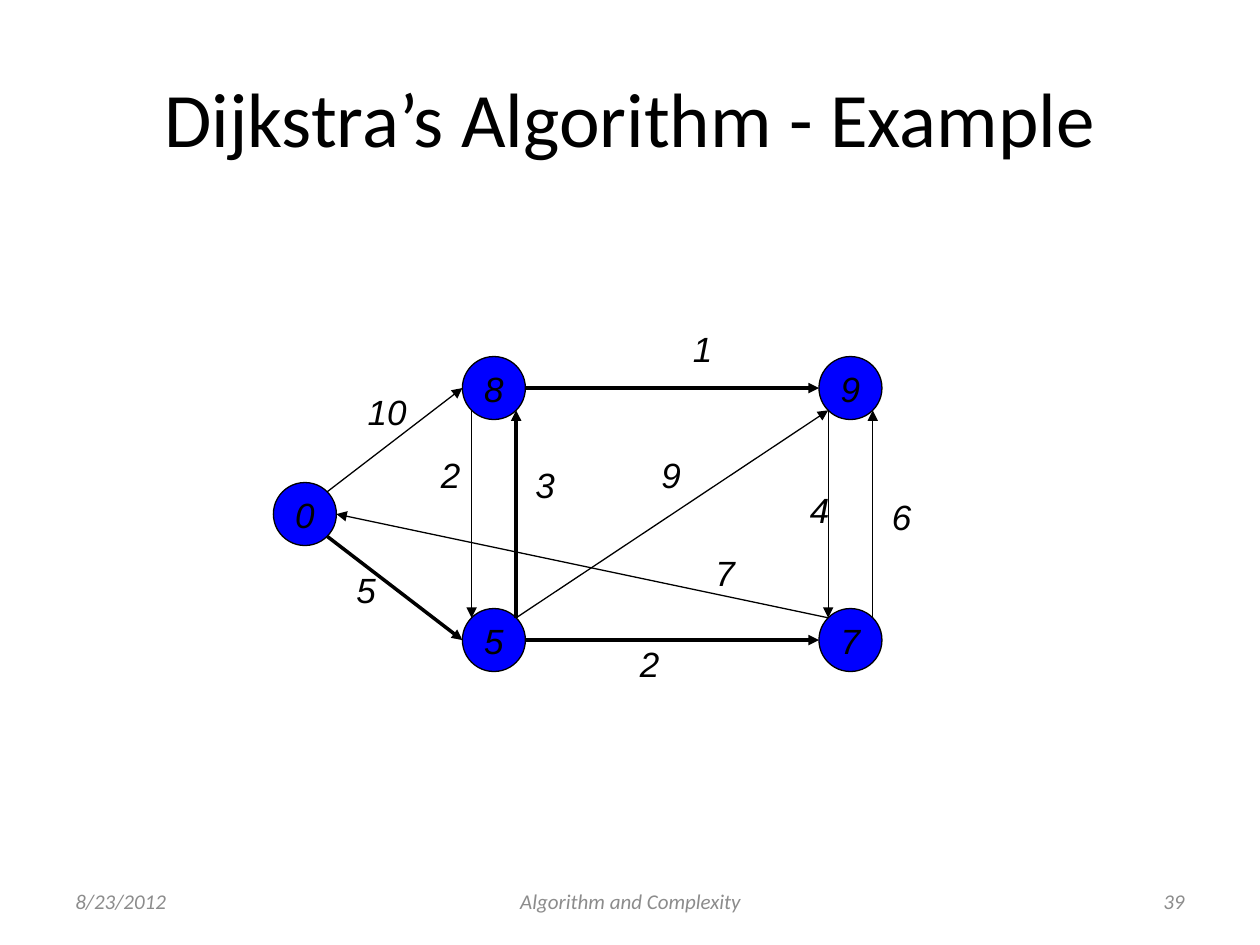
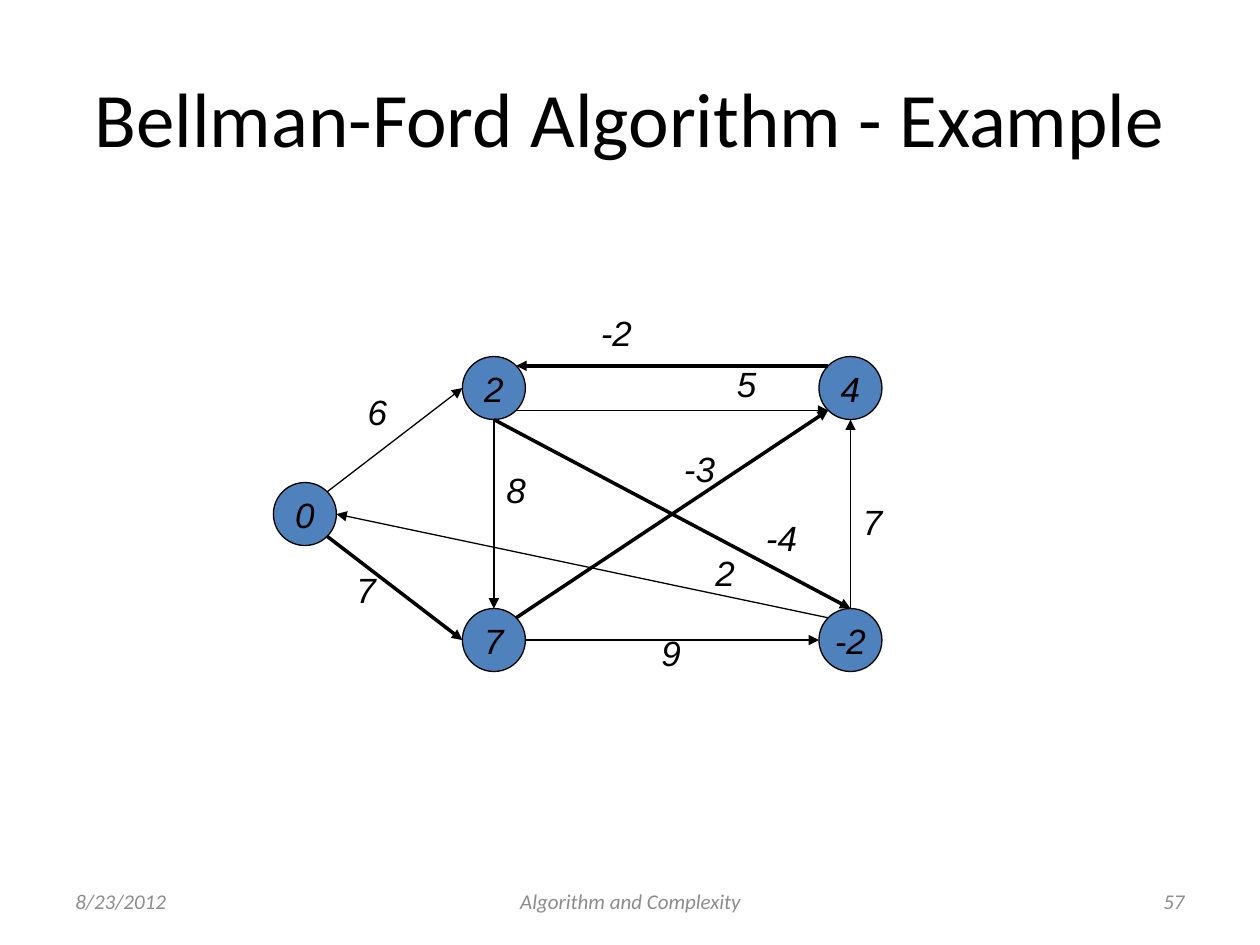
"""Build two slides that show shortest-path examples on weighted directed graphs."""
import math

import pptx
import pptx.dml.color
import pptx.enum.shapes
import pptx.enum.text
import pptx.oxml
import pptx.oxml.ns
import pptx.util

Inches = pptx.util.Inches
Pt = pptx.util.Pt
Align = pptx.enum.text.PP_ALIGN
Anchor = pptx.enum.text.MSO_ANCHOR
AutoSize = pptx.enum.text.MSO_AUTO_SIZE

BLACK = "000000"
GREY = "8C8C8C"
NODE_SIZE = 0.5
RADIUS = NODE_SIZE / 2
THIN, THICK = 0.75, 2

NODE_CENTERS = {
    "source": (2.42, 4.08),
    "upper left": (3.92, 3.08),
    "lower left": (3.92, 5.08),
    "upper right": (6.75, 3.08),
    "lower right": (6.75, 5.08),
}
SITE_ANGLES = {"E": 0, "SE": 45, "S": 90, "SW": 135, "W": 180, "NW": 225, "N": 270, "NE": 315}

EXAMPLES = [
    {
        "title": "Dijkstra’s Algorithm - Example",
        "number": "39",
        "fill": "0000FF",
        "distances": {"source": "0", "lower left": "5", "upper left": "8",
                      "lower right": "7", "upper right": "9"},
        "edges": [
            ("source", "NE", "upper left", "W", THIN),
            ("upper left", "E", "upper right", "W", THICK),
            ("lower left", "E", "lower right", "W", THICK),
            ("source", "SE", "lower left", "W", THICK),
            ("lower left", "NE", "upper right", "SW", THIN),
            ("lower right", "NW", "source", "E", THIN),
            ("lower left", "NE", "upper left", "SE", THICK),
            ("upper left", "SW", "lower left", "NW", THIN),
            ("upper right", "SW", "lower right", "NW", THIN),
            ("lower right", "NE", "upper right", "SE", THIN),
        ],
        "weights": [
            ("10", 2.82, 3.05), ("1", 5.4, 2.55), ("5", 2.73, 4.46), ("2", 4.98, 5.05),
            ("6", 6.98, 3.88), ("4", 6.33, 3.83), ("9", 5.15, 3.55), ("7", 5.58, 4.33),
            ("2", 3.4, 3.55), ("3", 4.15, 3.63),
        ],
    },
    {
        "title": "Bellman-Ford Algorithm - Example",
        "number": "57",
        "fill": "4F81BD",
        "distances": {"source": "0", "lower left": "7", "upper left": "2",
                      "lower right": "-2", "upper right": "4"},
        "edges": [
            ("source", "NE", "upper left", "W", THIN),
            ("upper left", "SE", "upper right", "SW", THIN),
            ("source", "SE", "lower left", "W", THICK),
            ("lower left", "NE", "upper right", "SW", THICK),
            ("lower right", "NW", "source", "E", THIN),
            ("lower right", "N", "upper right", "S", THIN),
            ("upper left", "S", "lower left", "N", THIN),
            ("upper right", "NW", "upper left", "NE", THICK),
            ("lower left", "E", "lower right", "W", THIN),
            ("upper left", "S", "lower right", "N", THICK),
        ],
        "weights": [
            ("6", 2.82, 3.05), ("5", 5.75, 2.83), ("7", 2.73, 4.46), ("7", 6.75, 3.92),
            ("-3", 5.33, 3.5), ("2", 5.58, 4.33), ("8", 3.92, 3.67), ("-2", 4.67, 2.42),
            ("-4", 5.98, 4.05), ("9", 5.15, 4.96),
        ],
    },
]
WEIGHT_WIDTHS = {"10": 0.53, "-2": 0.48, "-3": 0.48, "-4": 0.48}


def rgb(value):
    return pptx.dml.color.RGBColor.from_string(value)


def write(shape, text, font_name, size, color, alignment, italic=True):
    shape.text_frame.text = text
    paragraph = shape.text_frame.paragraphs[0]
    paragraph.alignment = alignment
    font = paragraph.runs[0].font
    font.name = font_name
    font.size = Pt(size)
    font.italic = italic
    font.color.rgb = rgb(color)


presentation = pptx.Presentation()
presentation.slide_width = Inches(10)
presentation.slide_height = Inches(7.5)

for example in EXAMPLES:
    slide = presentation.slides.add_slide(presentation.slide_layouts[5])
    title = slide.shapes.title
    title.left, title.top, title.width, title.height = map(Inches, (0.5, 0.3, 9, 1.25))
    write(title, example["title"], "Calibri", 44, BLACK, Align.CENTER, italic=False)
    title.text_frame.vertical_anchor = Anchor.MIDDLE

    for node_name, distance in example["distances"].items():
        x, y = NODE_CENTERS[node_name]
        node = slide.shapes.add_shape(
            pptx.enum.shapes.MSO_SHAPE.FLOWCHART_CONNECTOR,
            Inches(x - RADIUS), Inches(y - RADIUS), Inches(NODE_SIZE), Inches(NODE_SIZE))
        node.shadow.inherit = False
        node.fill.solid()
        node.fill.fore_color.rgb = rgb(example["fill"])
        node.line.color.rgb = rgb(BLACK)
        node.line.width = Pt(THIN)
        write(node, distance, "Arial", 20, BLACK, Align.CENTER)
        node.text_frame.word_wrap = False
        node.text_frame.vertical_anchor = Anchor.MIDDLE

    for start, start_site, end, end_site, width in example["edges"]:
        coordinates = []
        for node_name, site in ((start, start_site), (end, end_site)):
            x, y = NODE_CENTERS[node_name]
            angle = math.radians(SITE_ANGLES[site])
            coordinates += [Inches(x + RADIUS * math.cos(angle)),
                            Inches(y + RADIUS * math.sin(angle))]
        edge = slide.shapes.add_connector(
            pptx.enum.shapes.MSO_CONNECTOR.STRAIGHT, *coordinates)
        edge.line.color.rgb = rgb(BLACK)
        edge.line.width = Pt(width)
        properties = edge._element.spPr
        arrowhead = pptx.oxml.parse_xml(
            f'<a:tailEnd {pptx.oxml.ns.nsdecls("a")} type="triangle"/>')
        properties.find(pptx.oxml.ns.qn("a:ln")).append(arrowhead)
        properties.append(pptx.oxml.parse_xml(
            f'<a:effectLst {pptx.oxml.ns.nsdecls("a")}/>'))

    for weight, left, top in example["weights"]:
        label = slide.shapes.add_textbox(
            Inches(left), Inches(top), Inches(WEIGHT_WIDTHS.get(weight, 0.37)), Inches(0.5))
        write(label, weight, "Arial", 20, BLACK, Align.LEFT)
        label.text_frame.word_wrap = False
        label.text_frame.auto_size = AutoSize.SHAPE_TO_FIT_TEXT

    for text, left, width, alignment in (
        ("8/23/2012", 0.5, 2.33, Align.LEFT),
        ("Algorithm and Complexity", 3.42, 3.17, Align.CENTER),
        (example["number"], 7.17, 2.33, Align.RIGHT),
    ):
        footer = slide.shapes.add_textbox(
            Inches(left), Inches(6.95), Inches(width), Inches(0.4))
        write(footer, text, "Calibri", 12, GREY, alignment)
        footer.text_frame.word_wrap = True
        footer.text_frame.vertical_anchor = Anchor.MIDDLE

presentation.save("out.pptx")
